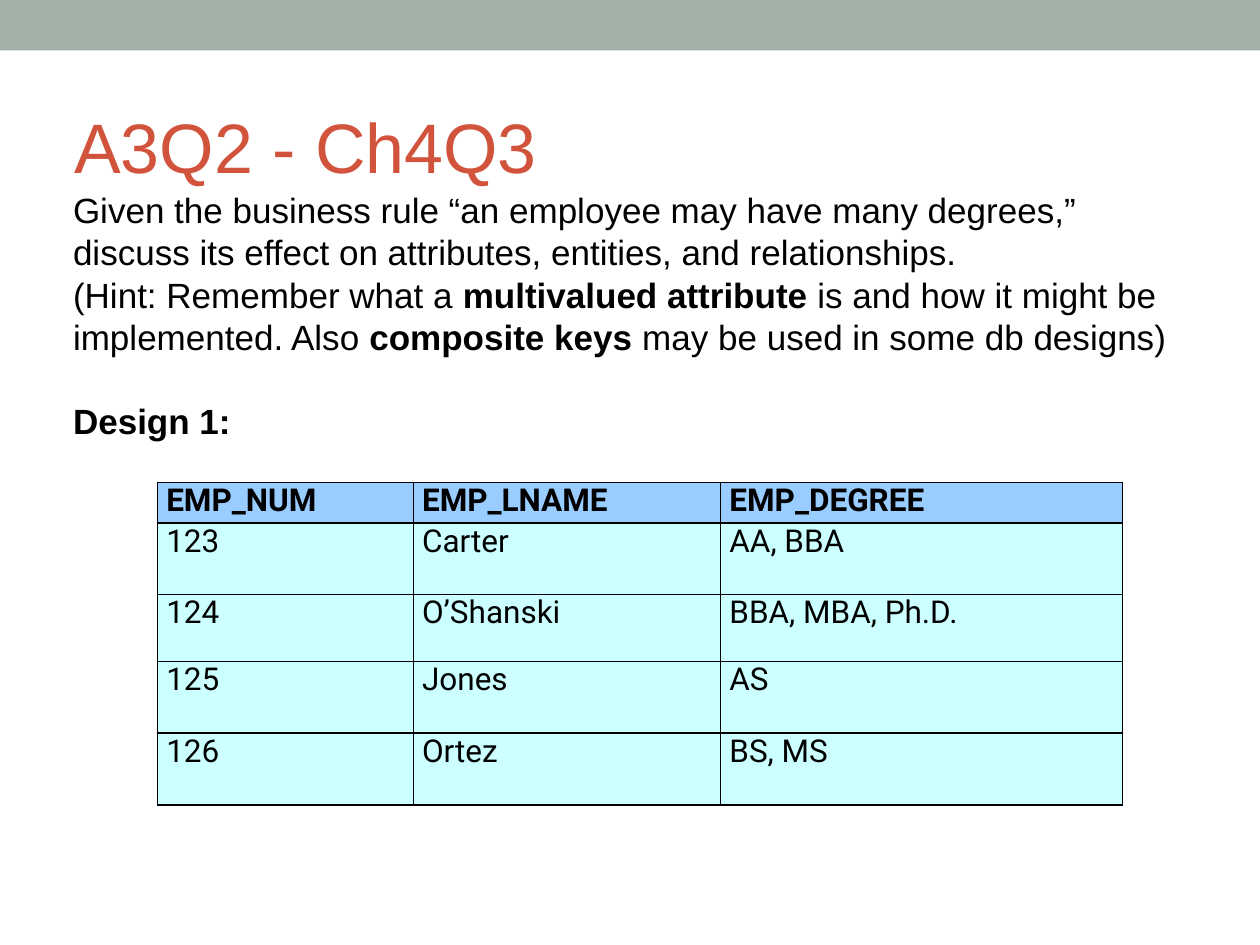
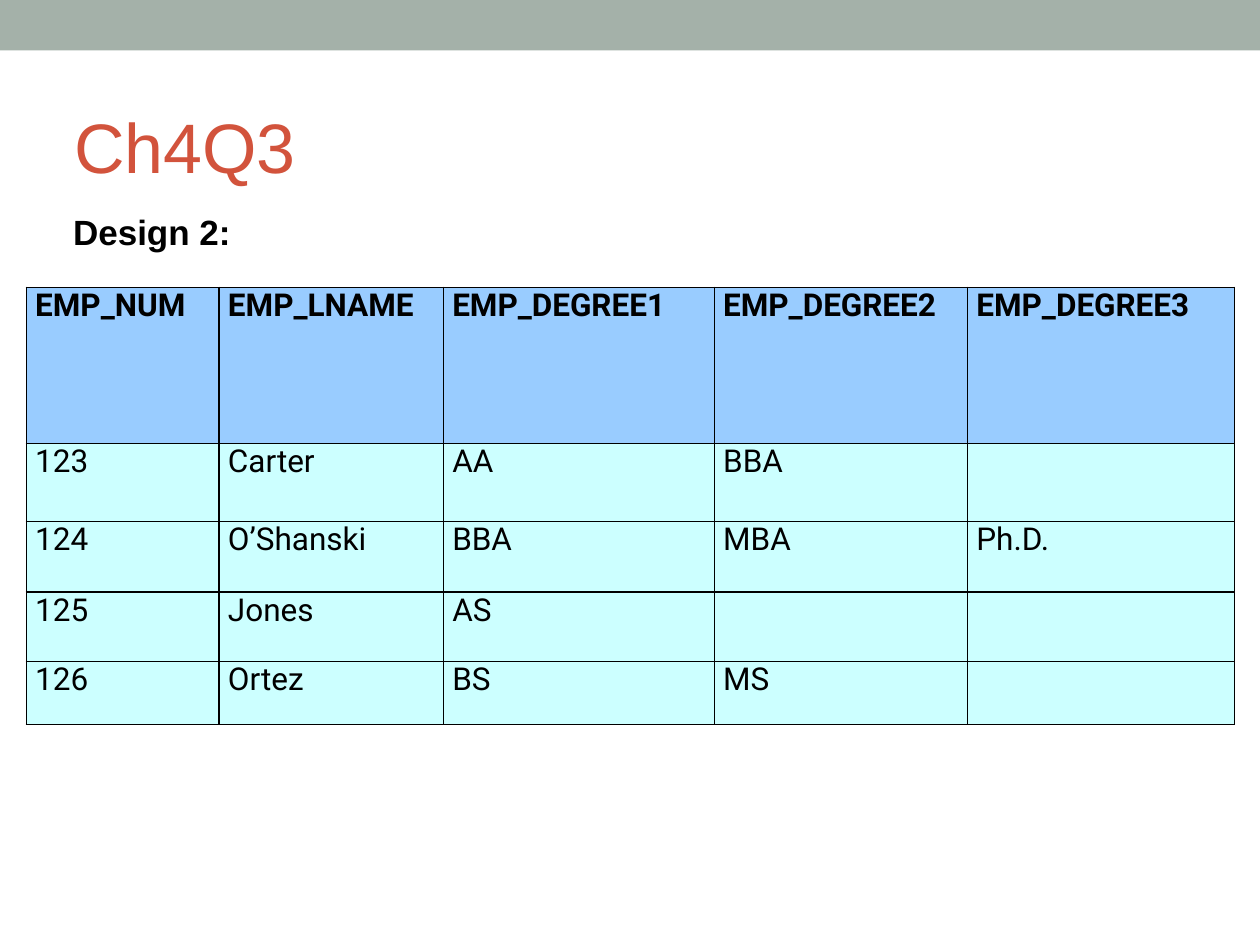
from dataclasses import dataclass

from lxml.etree import SubElement
from pptx import Presentation
from pptx.dml.color import RGBColor
from pptx.enum.shapes import MSO_SHAPE as Shape
from pptx.enum.text import PP_ALIGN as Align
from pptx.oxml.ns import qn
from pptx.util import Inches, Pt


@dataclass(frozen=True)
class Theme:
    band: str = "A4B1A9"
    title: str = "D2533C"
    ink: str = "000000"
    header: str = "99CCFF"
    row: str = "CCFFFF"
    text_font: str = "Arial"
    table_font: str = "Roboto"
    title_size: int = 40
    title_leading: int = 50
    body_size: int = 20
    body_leading: int = 24
    cell_size: int = 18
    border_width: int = 1


THEME = Theme()


@dataclass(frozen=True)
class Span:
    text: str
    bold: bool = False


@dataclass(frozen=True)
class Line:
    spans: tuple[Span, ...]
    space_before: int = 0


@dataclass(frozen=True)
class DesignTable:
    left: float
    top: float
    widths: tuple[float, ...]
    heights: tuple[float, ...]
    rows: tuple[tuple[str, ...], ...]


@dataclass(frozen=True)
class DesignSlide:
    title: str
    body_top: float
    body_height: float
    body: tuple[Line, ...]
    table: DesignTable


SLIDES = (
    DesignSlide(
        "A3Q2 - Ch4Q3", 1.5, 2.83,
        (
            Line((Span("Given the business rule “an employee may have many degrees,” "
                       "discuss its effect on attributes, entities, and relationships."),)),
            Line((
                Span("(Hint: Remember what a "),
                Span("multivalued attribute ", True),
                Span("is and how it might be implemented. Also "),
                Span("composite keys", True),
                Span(" may be used in some db designs)"),
            )),
            Line((Span("Design 1:", True),), space_before=THEME.body_leading),
        ),
        DesignTable(
            1.25, 3.83, (2.03, 2.44, 3.19), (0.32, 0.57, 0.53, 0.57, 0.57),
            (
                ("EMP_NUM", "EMP_LNAME", "EMP_DEGREE"),
                ("123", "Carter", "AA, BBA"),
                ("124", "O’Shanski", "BBA, MBA, Ph.D."),
                ("125", "Jones", "AS"),
                ("126", "Ortez", "BS, MS"),
            ),
        ),
    ),
    DesignSlide(
        "Ch4Q3", 1.67, 1.14,
        (Line((Span("Design 2:", True),)),),
        DesignTable(
            0.21, 2.28, (1.53, 1.78, 2.15, 2.01, 2.12), (1.24, 0.62, 0.56, 0.55, 0.5),
            (
                ("EMP_NUM", "EMP_LNAME", "EMP_DEGREE1", "EMP_DEGREE2", "EMP_DEGREE3"),
                ("123", "Carter", "AA", "BBA", ""),
                ("124", "O’Shanski", "BBA", "MBA", "Ph.D."),
                ("125", "Jones", "AS", "", ""),
                ("126", "Ortez", "BS", "MS", ""),
            ),
        ),
    ),
)


def style_font(font, name: str, size: int, color: str, bold: bool = False) -> None:
    font.name = name
    font.size = Pt(size)
    font.bold = bold
    font.color.rgb = RGBColor.from_string(color)


def draw_band(slide, width: int) -> None:
    band = slide.shapes.add_shape(Shape.RECTANGLE, 0, 0, width, Inches(0.4))
    band.shadow.inherit = False
    band.fill.solid()
    band.fill.fore_color.rgb = RGBColor.from_string(THEME.band)
    band.line.fill.background()


def draw_lines(slide, left: float, top: float, height: float, lines: tuple[Line, ...],
               size: int, leading: int, color: str) -> None:
    box = slide.shapes.add_textbox(Inches(left), Inches(top), Inches(8.83), Inches(height))
    frame = box.text_frame
    frame.word_wrap = True
    frame.margin_left = frame.margin_right = frame.margin_top = frame.margin_bottom = 0
    for index, line in enumerate(lines):
        paragraph = frame.add_paragraph() if index else frame.paragraphs[0]
        paragraph.line_spacing = Pt(leading)
        paragraph.space_before = Pt(line.space_before)
        for span in line.spans:
            run = paragraph.add_run()
            run.text = span.text
            style_font(run.font, THEME.text_font, size, color, span.bold)


def draw_borders(cell) -> None:
    properties = cell._tc.get_or_add_tcPr()
    for side in ("a:lnL", "a:lnR", "a:lnT", "a:lnB"):
        border = SubElement(properties, qn(side), w=str(Pt(THEME.border_width)))
        fill = SubElement(border, qn("a:solidFill"))
        SubElement(fill, qn("a:srgbClr"), val=THEME.ink)


def fill_cell(cell, text: str, is_header: bool) -> None:
    cell.margin_left = cell.margin_right = Inches(0.07)
    cell.margin_top = cell.margin_bottom = 0
    draw_borders(cell)
    cell.fill.solid()
    cell.fill.fore_color.rgb = RGBColor.from_string(THEME.header if is_header else THEME.row)
    paragraph = cell.text_frame.paragraphs[0]
    paragraph.text = text
    paragraph.alignment = Align.JUSTIFY
    for run in paragraph.runs:
        style_font(run.font, THEME.table_font, THEME.cell_size, THEME.ink, is_header)


def draw_table(slide, design: DesignTable) -> None:
    table = slide.shapes.add_table(
        len(design.heights), len(design.widths), Inches(design.left), Inches(design.top),
        Inches(sum(design.widths)), Inches(sum(design.heights)),
    ).table
    table.horz_banding = False
    for column, width in zip(table.columns, design.widths):
        column.width = Inches(width)
    for row, height in zip(table.rows, design.heights):
        row.height = Inches(height)
    for row_index, employee in enumerate(design.rows):
        for column_index, text in enumerate(employee):
            fill_cell(table.cell(row_index, column_index), text, row_index == 0)


def main() -> None:
    deck = Presentation()
    deck.slide_width, deck.slide_height = Inches(10), Inches(7.5)
    for content in SLIDES:
        slide = deck.slides.add_slide(deck.slide_layouts[6])
        draw_band(slide, deck.slide_width)
        draw_lines(slide, 0.59, 0.79, 0.67, (Line((Span(content.title),)),),
                   THEME.title_size, THEME.title_leading, THEME.title)
        draw_lines(slide, 0.58, content.body_top, content.body_height, content.body,
                   THEME.body_size, THEME.body_leading, THEME.ink)
        draw_table(slide, content.table)
    deck.save("out.pptx")


if __name__ == "__main__":
    main()
